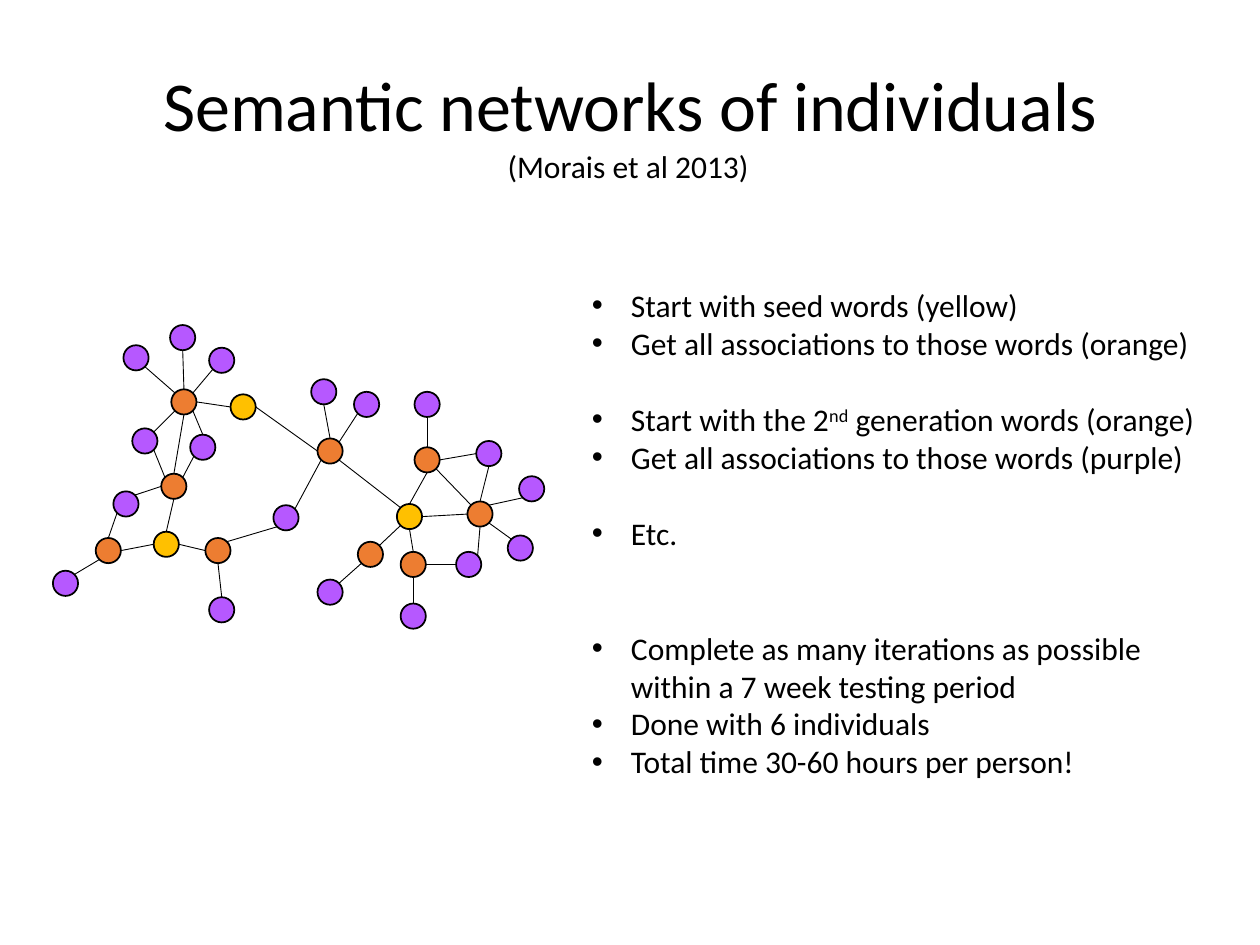
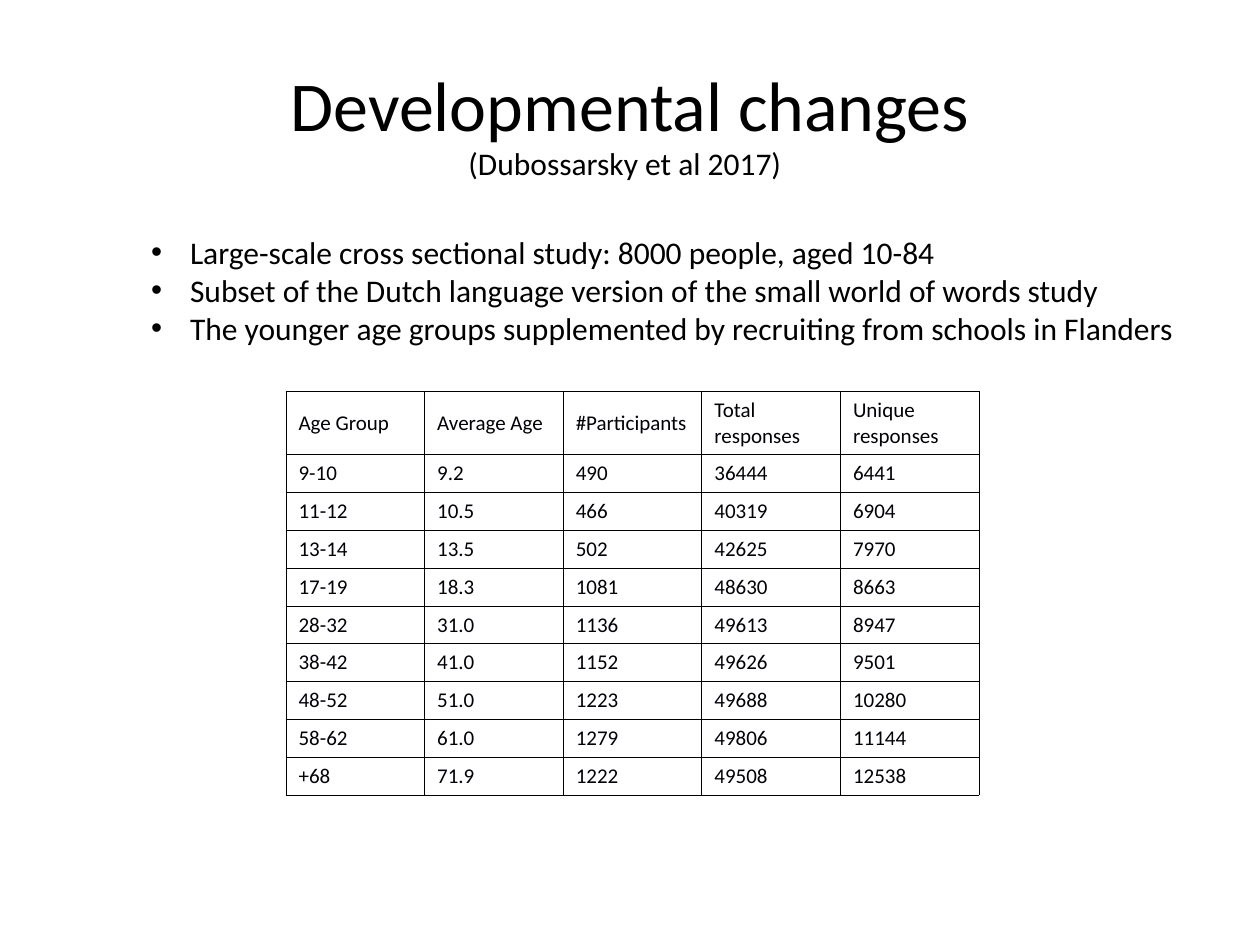
from math import cos, radians, sin

from lxml.etree import SubElement
from pptx import Presentation
from pptx.dml.color import RGBColor
from pptx.enum.shapes import MSO_CONNECTOR, MSO_SHAPE
from pptx.enum.text import MSO_ANCHOR, MSO_AUTO_SIZE, PP_ALIGN
from pptx.oxml.ns import qn
from pptx.util import Pt

SCALE = 9144
FONT = "Calibri"
BLACK = RGBColor(0x00, 0x00, 0x00)
WHITE = RGBColor(0xFF, 0xFF, 0xFF)
TABLE_INK = RGBColor(0x00, 0x00, 0x07)
YELLOW = RGBColor(0xFF, 0xC0, 0x00)
ORANGE = RGBColor(0xED, 0x7D, 0x31)
PURPLE = RGBColor(0xB6, 0x58, 0xFF)

TITLE_BOX = (69, 40, 862, 92)
BULLET_INDENT = 31
LINE_GAP = 22
NODE_SIZE = 20
COMPASS = {"E": 0, "SE": 45, "S": 90, "SW": 135, "W": 180, "NW": 225, "N": 270, "NE": 315}

NODE_GROUPS = (
    ("y", YELLOW, [(80, 164), (141, 55), (273, 142)]),
    ("o", ORANGE, [(86, 118), (121, 169), (34, 169), (210, 90), (94, 51),
                   (276, 180), (242, 172), (287, 97), (329, 140)]),
    ("p", PURPLE, [(124, 18), (56, 16), (63, 82), (109, 87), (48, 132), (0, 195),
                   (175, 143), (124, 216), (210, 202), (205, 43), (287, 53), (336, 92),
                   (276, 221), (320, 180), (361, 167), (370, 120), (93, 0), (239, 53)]),
)

ASSOCIATIONS = """
y1 N o1 S, y1 E o2 W, o3 E y1 W, y2 E o4 W, y2 W o5 E, o7 NE y3 SW,
o8 S y3 N, o9 W y3 E, o6 N y3 S, y3 NW o4 SE, p12 W o8 E, p11 S o8 N,
p16 SW o9 NE, o8 SE o9 NW, p15 NW o9 SE, o6 E p14 W, p13 N o6 S, p14 NE o9 S,
o9 N p12 S, o7 SW p9 NE, o4 NE p18 SW, o4 N p10 S, p7 NE o4 SW, o2 NE p7 SW,
p8 N o2 S, o1 NE p4 SW, o1 NW p3 SE, p5 NE o1 W, o3 N p5 SW, o3 SW p6 NE,
o5 N p17 S, o5 NW p2 SE, o5 NE p1 SW, p3 NE o5 SW, p4 N o5 SE, o1 N o5 S
"""

METHOD_STEPS = [
    ("Start with seed words (yellow)", 0),
    ("Get all associations to those words (orange)", 0),
    ("Start with the 2^nd^ generation words (orange)", 1),
    ("Get all associations to those words (purple)", 0),
    ("Etc.", 1),
    ("Complete as many iterations as possible within a 7 week testing period", 2),
    ("Done with 6 individuals", 0),
    ("Total time 30-60 hours per person!", 0),
]

STUDY_FACTS = [
    ("Large-scale cross sectional study: 8000 people, aged 10-84", 0),
    ("Subset of the Dutch language version of the small world of words study", 0),
    ("The younger age groups supplemented by recruiting from schools in Flanders", 0),
]

AGE_ROWS = [
    ("Age Group", "Average Age", "#Participants", "Total responses", "Unique responses"),
    ("9-10", "9.2", "490", "36444", "6441"),
    ("11-12", "10.5", "466", "40319", "6904"),
    ("13-14", "13.5", "502", "42625", "7970"),
    ("17-19", "18.3", "1081", "48630", "8663"),
    ("28-32", "31.0", "1136", "49613", "8947"),
    ("38-42", "41.0", "1152", "49626", "9501"),
    ("48-52", "51.0", "1223", "49688", "10280"),
    ("58-62", "61.0", "1279", "49806", "11144"),
    ("+68", "71.9", "1222", "49508", "12538"),
]


def px(*lengths):
    return [round(length * SCALE) for length in lengths]


def write(paragraph, text, size=18, color=BLACK, align=PP_ALIGN.LEFT,
          line_spacing=None, space_before=0, bullet=False):
    if bullet:
        properties = paragraph._p.get_or_add_pPr()
        indent, = px(BULLET_INDENT)
        properties.set("marL", str(indent))
        properties.set("indent", str(-indent))
        SubElement(properties, qn("a:buFont"), typeface="Arial")
        SubElement(properties, qn("a:buChar"), char="•")
    paragraph.alignment = align
    paragraph.line_spacing = line_spacing
    paragraph.space_before = Pt(space_before)
    for index, part in enumerate(text.split("^")):
        run = paragraph.add_run()
        run.text = part
        run.font.name = FONT
        run.font.size = Pt(size)
        run.font.color.rgb = color
        if index % 2:
            run._r.get_or_add_rPr().set("baseline", "30000")


def add_text_frame(slide, box, wrap=True):
    frame = slide.shapes.add_textbox(*px(*box)).text_frame
    frame.word_wrap = wrap
    return frame


def add_heading(slide, title, citation, citation_box):
    frame = add_text_frame(slide, TITLE_BOX)
    frame.vertical_anchor = MSO_ANCHOR.MIDDLE
    write(frame.paragraphs[0], title, size=40, align=PP_ALIGN.CENTER, line_spacing=0.9)
    frame = add_text_frame(slide, citation_box, wrap=False)
    frame.auto_size = MSO_AUTO_SIZE.SHAPE_TO_FIT_TEXT
    write(frame.paragraphs[0], citation)


def add_bullets(slide, box, items):
    frame = add_text_frame(slide, box)
    for index, (text, skipped_lines) in enumerate(items):
        paragraph = frame.add_paragraph() if index else frame.paragraphs[0]
        write(paragraph, text, space_before=skipped_lines * LINE_GAP, bullet=True)


def node_edge(corner, direction):
    angle = radians(COMPASS[direction])
    radius = NODE_SIZE / 2
    left, top = corner
    return px(left + radius + radius * cos(angle), top + radius + radius * sin(angle))


def add_network(slide, left, top):
    network = slide.shapes.add_group_shape()
    corners = {}
    for prefix, color, offsets in NODE_GROUPS:
        for number, (x, y) in enumerate(offsets, 1):
            corner = corners[f"{prefix}{number}"] = (left + x, top + y)
            node = network.shapes.add_shape(MSO_SHAPE.OVAL, *px(*corner, NODE_SIZE, NODE_SIZE))
            node.shadow.inherit = False
            node.fill.solid()
            node.fill.fore_color.rgb = color
            node.line.color.rgb = BLACK
            node.line.width = Pt(1)
    for association in ASSOCIATIONS.split(","):
        start, start_side, end, end_side = association.split()
        link = network.shapes.add_connector(
            MSO_CONNECTOR.STRAIGHT,
            *node_edge(corners[start], start_side), *node_edge(corners[end], end_side))
        link.line.color.rgb = BLACK
        link.line.width = Pt(0.5)
        SubElement(link._element.spPr, qn("a:effectLst"))


def add_cell_borders(cell):
    properties = cell._tc.get_or_add_tcPr()
    for side in ("lnL", "lnR", "lnT", "lnB"):
        border = SubElement(properties, qn(f"a:{side}"), w=str(Pt(0.48)))
        fill = SubElement(border, qn("a:solidFill"))
        SubElement(fill, qn("a:srgbClr"), val=str(BLACK))


def add_age_table(slide, left, top, column_width, header_height, row_height):
    row_count, column_count = len(AGE_ROWS), len(AGE_ROWS[0])
    width = column_count * column_width
    height = header_height + (row_count - 1) * row_height
    table = slide.shapes.add_table(
        row_count, column_count, *px(left, top, width, height)).table
    for column in table.columns:
        column.width, = px(column_width)
    for index, values in enumerate(AGE_ROWS):
        table.rows[index].height, = px(row_height if index else header_height)
        for cell, value in zip(table.rows[index].cells, values):
            cell.margin_top, cell.margin_bottom = px(4, 4)
            cell.vertical_anchor = MSO_ANCHOR.MIDDLE
            add_cell_borders(cell)
            cell.fill.solid()
            cell.fill.fore_color.rgb = WHITE
            write(cell.text_frame.paragraphs[0], value, size=12, color=TABLE_INK)


def build_network_slide(slide):
    add_heading(slide, "Semantic networks of individuals",
                "(Morais et al 2013)", (393, 112, 214, 40))
    add_network(slide, 42, 258)
    add_bullets(slide, (460, 222, 523, 464), METHOD_STEPS)


def build_development_slide(slide):
    add_heading(slide, "Developmental changes",
                "(Dubossarsky et al 2017)", (362, 109, 276, 40))
    add_bullets(slide, (110, 180, 845, 101), STUDY_FACTS)
    add_age_table(slide, 227, 311, column_width=110, header_height=50, row_height=30)


def main():
    presentation = Presentation()
    presentation.slide_width, presentation.slide_height = px(1000, 750)
    blank_layout = presentation.slide_layouts[6]
    for build_slide in (build_network_slide, build_development_slide):
        build_slide(presentation.slides.add_slide(blank_layout))
    presentation.save("out.pptx")


if __name__ == "__main__":
    main()
